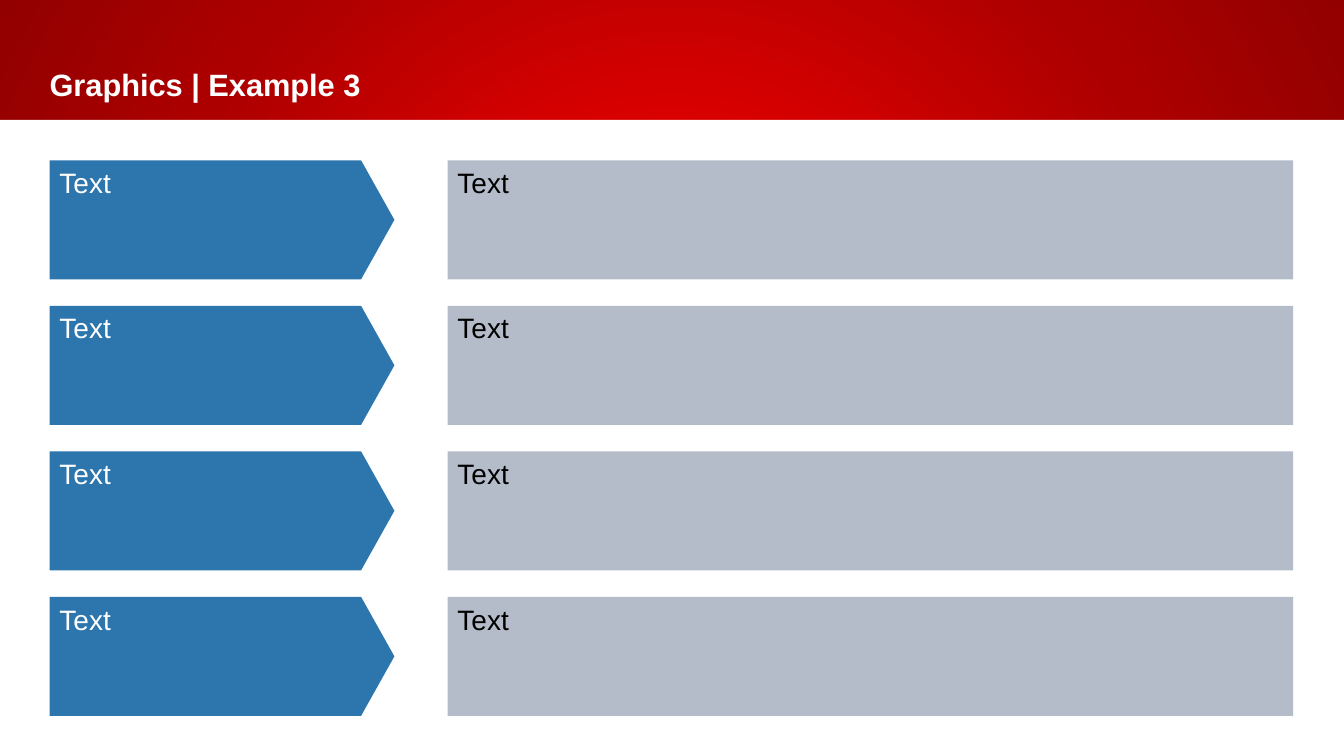
from dataclasses import dataclass

from lxml import etree
from pptx import Presentation
from pptx import util as u
from pptx.dml.color import RGBColor
from pptx.enum import shapes, text
from pptx.oxml.ns import qn


@dataclass(frozen=True)
class Theme:
    font: str = "Arial"
    title_size: int = 22
    body_size: int = 20
    white: str = "FFFFFF"
    black: str = "000000"
    blue: str = "2D76AD"
    grey: str = "B3BCC8"
    glow: tuple = ((0, "EF0000"), (16, "EF0000"), (69, "AC0000"), (100, "920000"))


THEME = Theme()
WIDTH, HEIGHT = 33.87, 19.05
MARGIN = 1.25
BANNER = 3.02
ROWS = [("Text", "Text")] * 4


def set_insets(tf, left, top, right, bottom):
    tf.margin_left, tf.margin_top = u.Cm(left), u.Cm(top)
    tf.margin_right, tf.margin_bottom = u.Cm(right), u.Cm(bottom)


def write(tf, words, size, color, bold=False):
    p = tf.paragraphs[0]
    p.alignment = text.PP_ALIGN.LEFT
    r = p.add_run()
    r.text = words
    r.font.name = THEME.font
    r.font.size = u.Pt(size)
    r.font.bold = bold
    r.font.color.rgb = RGBColor.from_string(color)


def add_block(s, kind, box, color):
    sp = s.shapes.add_shape(kind, *(u.Cm(v) for v in box))
    sp.shadow.inherit = False
    sp.fill.solid()
    sp.fill.fore_color.rgb = RGBColor.from_string(color)
    sp.line.fill.background()
    return sp


def add_text_block(s, kind, box, color, words, text_color):
    sp = add_block(s, kind, box, color)
    tf = sp.text_frame
    tf.word_wrap = True
    tf.vertical_anchor = text.MSO_ANCHOR.TOP
    set_insets(tf, 0.25, 0.13, 0.25, 0.13)
    write(tf, words, THEME.body_size, text_color)
    return sp


def paint_background(s):
    """Radial red glow from the centre of the slide."""
    s.background.fill.gradient()
    grad = s._element.find(".//" + qn("a:gradFill"))
    for child in list(grad):
        grad.remove(child)
    stops = etree.SubElement(grad, qn("a:gsLst"))
    for pos, color in THEME.glow:
        stop = etree.SubElement(stops, qn("a:gs"), pos=str(pos * 1000))
        etree.SubElement(stop, qn("a:srgbClr"), val=color)
    glow = etree.SubElement(grad, qn("a:path"), path="circle")
    etree.SubElement(glow, qn("a:fillToRect"), l="50000", t="50000", r="50000", b="50000")


def add_panel(s, box):
    """White content area, behind everything else."""
    sp = add_block(s, shapes.MSO_SHAPE.RECTANGLE, box, THEME.white)
    s.shapes._spTree.insert(2, sp._element)


def add_title(s, box, words):
    sp = s.shapes.title
    sp.left, sp.top, sp.width, sp.height = (u.Cm(v) for v in box)
    tf = sp.text_frame
    tf.word_wrap = True
    tf.auto_size = text.MSO_AUTO_SIZE.NONE
    tf.vertical_anchor = text.MSO_ANCHOR.BOTTOM
    set_insets(tf, MARGIN, 0.4, 0.25, 0.4)
    write(tf, words, THEME.title_size, THEME.white, bold=True)


def add_rows(s, box, rows):
    """Arrow on the left and bar on the right, one pair per row."""
    left, top, width, height = box
    row_height, arrow_width, gutter = 3, 8.69, 1.34
    pitch = (height - row_height) / (len(rows) - 1)
    bar_offset = arrow_width + gutter
    for i, (label, detail) in enumerate(rows):
        y = top + i * pitch
        arrow = add_text_block(s, shapes.MSO_SHAPE.PENTAGON,
                               (left, y, arrow_width, row_height),
                               THEME.blue, label, THEME.white)
        arrow.adjustments[0] = 0.28
        add_text_block(s, shapes.MSO_SHAPE.RECTANGLE,
                       (left + bar_offset, y, width - bar_offset, row_height),
                       THEME.grey, detail, THEME.black)


def main():
    prs = Presentation()
    prs.slide_width, prs.slide_height = u.Cm(WIDTH), u.Cm(HEIGHT)
    s = prs.slides.add_slide(prs.slide_layouts[5])
    paint_background(s)
    add_panel(s, (0, BANNER, WIDTH, HEIGHT - BANNER))
    add_title(s, (0, 1.25, 28.17, 1.75), "Graphics | Example 3")
    add_rows(s, (MARGIN, 4.04, 31.34, 14), ROWS)
    prs.save("out.pptx")


if __name__ == "__main__":
    main()
